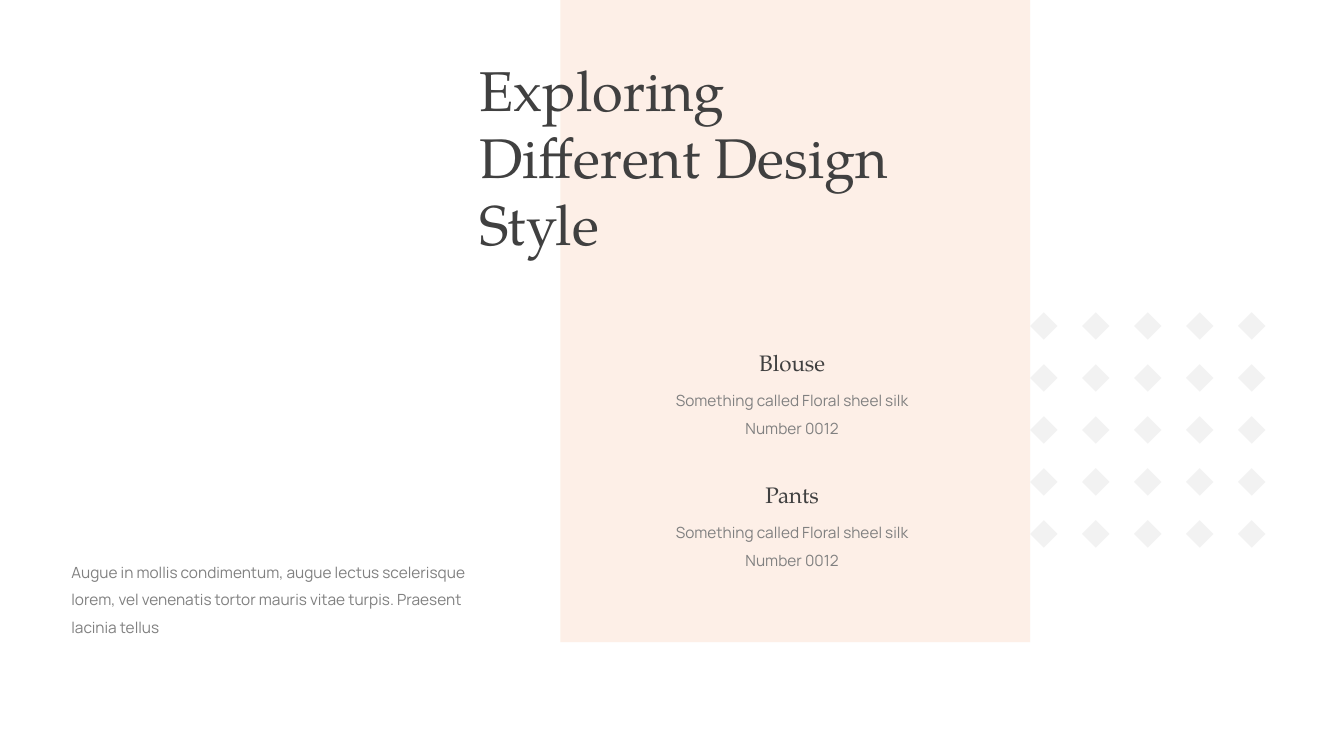
from itertools import product

from lxml.etree import SubElement
from pptx import Presentation
from pptx.dml.color import RGBColor
from pptx.enum.shapes import MSO_SHAPE
from pptx.enum.text import MSO_AUTO_SIZE, PP_ALIGN
from pptx.oxml.ns import qn
from pptx.util import Cm, Pt

COLORS = {
    "panel": "FDEFE6",
    "heading": "404040",
    "body": "808080",
    "diamond": "F2F2F2",
}
SERIF, SANS = "TeX Gyre Pagella", "Manrope"
FORMATS = {
    "title": {
        "font": {"name": SERIF, "size": Pt(40)},
        "color": "heading",
        "para": {"alignment": PP_ALIGN.LEFT},
    },
    "garment": {
        "font": {"name": SERIF, "size": Pt(16)},
        "color": "heading",
        "para": {"alignment": PP_ALIGN.CENTER, "line_spacing": 1.5},
    },
    "detail": {
        "font": {"name": SANS, "size": Pt(11)},
        "color": "body",
        "para": {"alignment": PP_ALIGN.CENTER, "line_spacing": 1.5},
    },
    "intro": {
        "font": {"name": SANS, "size": Pt(11)},
        "color": "body",
        "para": {"alignment": PP_ALIGN.LEFT, "line_spacing": 1.5},
    },
}
GARMENTS = [
    ("Blouse", "Something called Floral sheel silk", "Number 0012"),
    ("Pants", "Something called Floral sheel silk", "Number 0012"),
]
GARMENT_PITCH = 3.33
DIAMONDS_PER_SIDE = 5
DIAMOND_SIZE = 0.69


def set_attributes(target, values):
    for name, value in values.items():
        setattr(target, name, value)


def add_text(page, box, text, style):
    """Place one styled paragraph in a box of (left, top, width, height) in cm."""
    frame = page.shapes.add_textbox(*map(Cm, box)).text_frame
    set_attributes(frame, {"word_wrap": True,
                           "auto_size": MSO_AUTO_SIZE.SHAPE_TO_FIT_TEXT})
    para = frame.paragraphs[0]
    set_attributes(para, FORMATS[style]["para"])
    span = para.add_run()
    span.text = text
    set_attributes(span.font, FORMATS[style]["font"])
    span.font.color.rgb = RGBColor.from_string(COLORS[FORMATS[style]["color"]])


def add_plain_shape(shapes, kind, box, color):
    shape = shapes.add_shape(kind, *map(Cm, box))
    shape.shadow.inherit = False
    shape.fill.solid()
    shape.fill.fore_color.rgb = RGBColor.from_string(COLORS[color])
    shape.line.fill.background()
    return shape


def add_panel(page, box):
    panel = add_plain_shape(page.shapes, MSO_SHAPE.RECTANGLE, box, "panel")
    color = panel.fill._xPr.find(qn("a:solidFill")).find(qn("a:srgbClr"))
    SubElement(color, qn("a:alpha"), val="95000")


def add_garment(page, box, garment):
    """Centre a garment's name, fabric and number in the box."""
    left, top, width, _ = box
    name, fabric, number = garment
    rows = [
        (fabric, "detail", 0, 1.17, 0.91),
        (name, "garment", 0.2, 0, 1.14),
        (number, "detail", 1.5, 1.88, 0.97),
    ]
    for text, style, inset, drop, height in rows:
        row_box = (left + inset, top + drop, width - 2 * inset, height)
        add_text(page, row_box, text, style)


def add_diamond_grid(page, box):
    left, top, width, height = box
    gaps = DIAMONDS_PER_SIDE - 1
    across = (width - DIAMOND_SIZE) / gaps
    down = (height - DIAMOND_SIZE) / gaps
    group = page.shapes.add_group_shape()
    for row, column in product(range(DIAMONDS_PER_SIDE), repeat=2):
        place = (left + column * across, top + row * down,
                 DIAMOND_SIZE, DIAMOND_SIZE)
        add_plain_shape(group.shapes, MSO_SHAPE.DIAMOND, place, "diamond")


def main():
    deck = Presentation()
    set_attributes(deck, {"slide_width": Cm(33.87), "slide_height": Cm(19.05)})
    page = deck.slides.add_slide(deck.slide_layouts[6])

    add_panel(page, (14.12, 0, 11.84, 16.18))
    add_text(page, (11.84, 1.27, 12.55, 5.38),
             "Exploring Different Design Style", "title")
    for index, garment in enumerate(GARMENTS):
        add_garment(page, (15.09, 8.33 + index * GARMENT_PITCH, 9.75, 2.85), garment)
    add_text(page, (1.55, 13.82, 11.07, 2.36),
             "Augue in mollis condimentum, augue lectus scelerisque lorem, vel "
             "venenatis tortor mauris vitae turpis. Praesent lacinia tellus",
             "intro")
    add_diamond_grid(page, (25.96, 7.87, 5.93, 5.93))

    deck.save("out.pptx")


if __name__ == "__main__":
    main()
